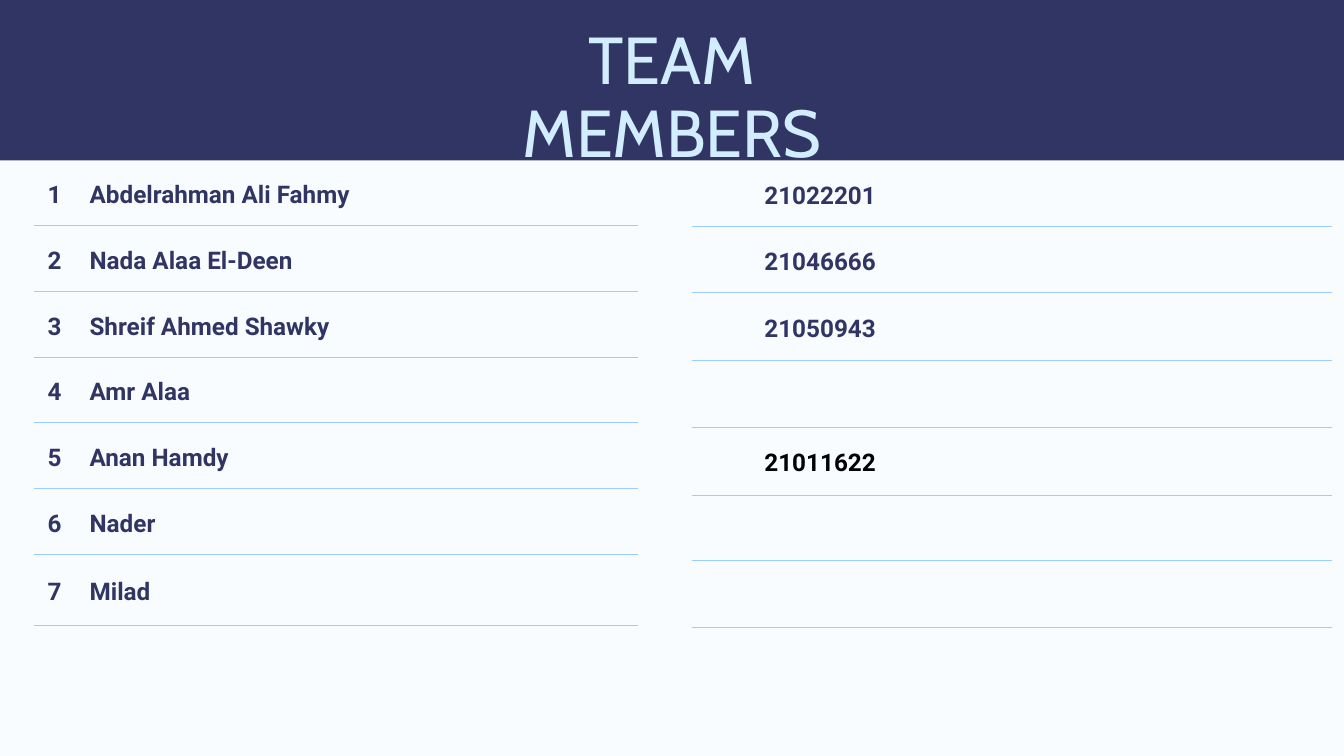
from dataclasses import dataclass

from lxml import etree
from pptx import Presentation
from pptx import util as u
from pptx.dml.color import RGBColor
from pptx.enum import shapes, text
from pptx.oxml.ns import qn

PX = 9525  # EMU in one px, 96 px to the inch


@dataclass(frozen=True)
class Theme:
    background: str = "F9FCFF"
    navy: str = "303564"
    pale_blue: str = "D2EDFF"
    rule: str = "9ACEFF"
    black: str = "000000"
    title_font: str = "Cabin"
    body_font: str = "Roboto"
    title_size: float = 71.1
    title_leading: float = 78.2
    body_size: float = 26
    body_leading: float = 36.4


THEME = Theme()

MEMBERS = [
    "Abdelrahman Ali Fahmy",
    "Nada Alaa El-Deen",
    "Shreif Ahmed Shawky",
    "Amr Alaa",
    "Anan Hamdy",
    "Nader",
    "Milad",
]
STUDENT_IDS = ["21022201", "21046666", "21050943", "", "21011622", "", ""]


def px(*lengths):
    return [u.Emu(length * PX) for length in lengths]


def write(frame, words, *, font, size, leading, color, bold=False, align=None, inset=0):
    """Put one formatted paragraph into a text frame."""
    frame.word_wrap = True
    paragraph = frame.paragraphs[0]
    paragraph.alignment = align
    paragraph.line_spacing = u.Pt(leading)
    run = paragraph.add_run()
    run.text = words
    run.font.name = font
    run.font.size = u.Pt(size)
    run.font.bold = bold
    run.font.color.rgb = RGBColor.from_string(color)
    (frame.margin_left, frame.margin_top,
     frame.margin_right, frame.margin_bottom) = px(*[inset] * 4)


def rule_cell(cell, top, bottom):
    """Draw only the wanted horizontal borders of a cell."""
    properties = cell._tc.get_or_add_tcPr()
    for side, shown in (("L", False), ("R", False), ("T", top), ("B", bottom)):
        line = etree.SubElement(properties, qn(f"a:ln{side}"), w=str(PX if shown else 0))
        if shown:
            fill = etree.SubElement(line, qn("a:solidFill"))
            etree.SubElement(fill, qn("a:srgbClr"), val=THEME.rule)
        else:
            etree.SubElement(line, qn("a:noFill"))


def add_list(slide, left, top, widths, heights, rows, colors):
    """Place a table with a thin rule under each row."""
    frame = slide.shapes.add_table(
        len(rows), len(widths), *px(left, top, sum(widths), sum(heights)))
    table = frame.table
    table.first_row = table.horz_banding = False
    for column, width in zip(table.columns, widths):
        column.width = u.Emu(width * PX)
    for index, (row, height) in enumerate(zip(table.rows, heights)):
        row.height = u.Emu(height * PX)
        for cell, words in zip(row.cells, rows[index]):
            rule_cell(cell, top=index > 0, bottom=True)
            cell.fill.background()
            if words:
                write(cell.text_frame, words, font=THEME.body_font, size=THEME.body_size,
                      leading=THEME.body_leading, color=colors.get(words, THEME.navy),
                      bold=True)
                cell.vertical_anchor = text.MSO_ANCHOR.MIDDLE
                (cell.margin_left, cell.margin_top,
                 cell.margin_right, cell.margin_bottom) = px(*[20] * 4)


def add_header(slide, left, top, width, height):
    band = slide.shapes.add_shape(
        shapes.MSO_SHAPE.RECTANGLE, *px(left, top, width, height))
    band.shadow.inherit = False
    band.fill.solid()
    band.fill.fore_color.rgb = RGBColor.from_string(THEME.navy)
    band.line.fill.background()

    title_width = 566
    title = slide.shapes.add_textbox(
        *px(left + (width - title_width) // 2, top + 40, title_width, 108))
    write(title.text_frame, "TEAM MEMBERS", font=THEME.title_font, size=THEME.title_size,
          leading=THEME.title_leading, color=THEME.pale_blue, align=text.PP_ALIGN.CENTER)
    title.text_frame.auto_size = text.MSO_AUTO_SIZE.SHAPE_TO_FIT_TEXT


def add_team_slide(presentation):
    slide = presentation.slides.add_slide(presentation.slide_layouts[6])
    background = slide.background.fill
    background.solid()
    background.fore_color.rgb = RGBColor.from_string(THEME.background)

    names = [(str(number), name) for number, name in enumerate(MEMBERS, 1)]
    add_list(slide, 48, 229, [60, 803], [93] + [94] * 5 + [101], names, {})
    student_ids = [("", student_id) for student_id in STUDENT_IDS]
    add_list(slide, 988, 229, [84, 831], [95, 94, 97, 95, 97, 94, 95], student_ids,
             {"21011622": THEME.black})
    add_header(slide, 0, -4, 1920, 233)


def main():
    presentation = Presentation()
    presentation.slide_width, presentation.slide_height = px(1920, 1080)
    add_team_slide(presentation)
    presentation.save("out.pptx")


if __name__ == "__main__":
    main()
